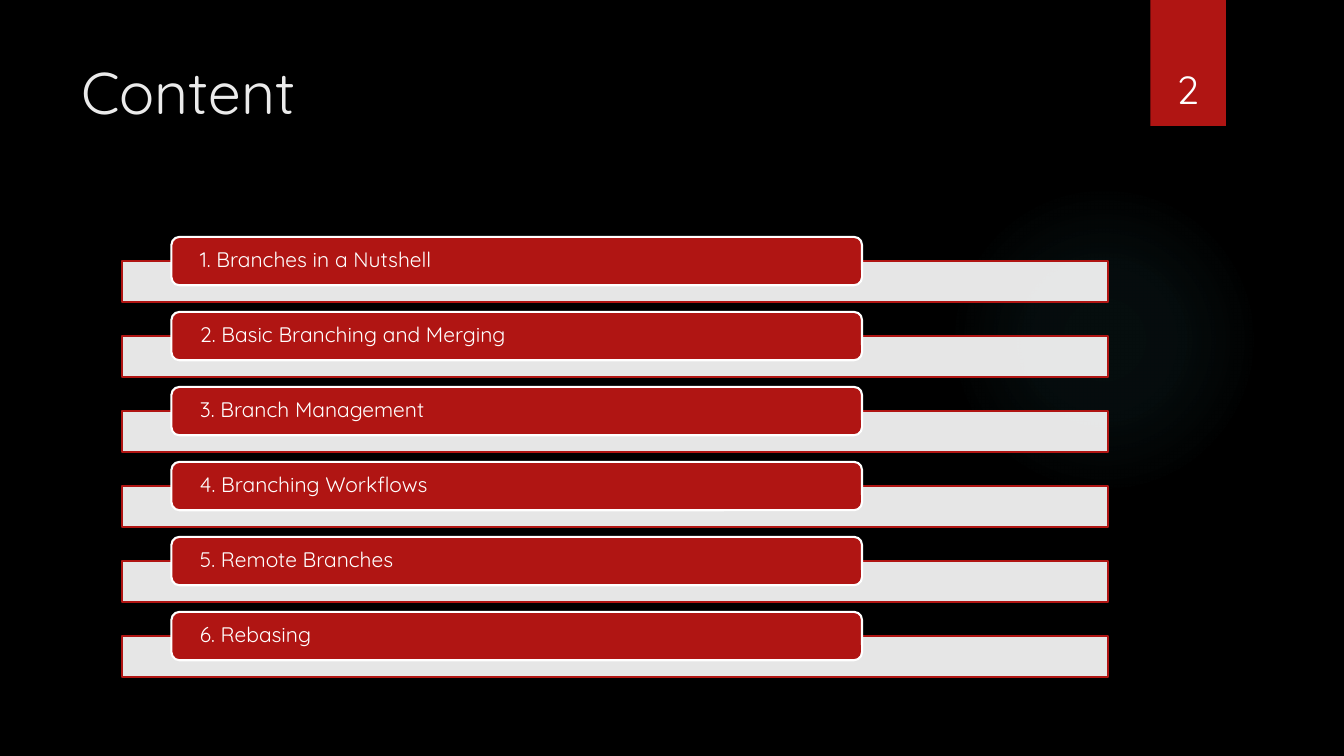
import dataclasses

import pptx
import pptx.dml.color
import pptx.enum.shapes
import pptx.enum.text
import pptx.oxml
import pptx.oxml.ns
import pptx.util
from lxml import etree

Inches = pptx.util.Inches
Pt = pptx.util.Pt
RGB = pptx.dml.color.RGBColor.from_string
SHAPE = pptx.enum.shapes.MSO_SHAPE
ANCHOR = pptx.enum.text.MSO_ANCHOR
ALIGN = pptx.enum.text.PP_ALIGN


@dataclasses.dataclass(frozen=True)
class Theme:
    font: str = "Quicksand"
    background: str = "000000"
    accent: str = "B01513"
    white: str = "FFFFFF"
    title: str = "EBEBEB"
    glow: str = "50B9C1"
    title_size: int = 42
    number_size: int = 28
    item_size: int = 15


theme = Theme()
topics = [
    "1. Branches in a Nutshell",
    "2. Basic Branching and Merging",
    "3. Branch Management",
    "4. Branching Workflows",
    "5. Remote Branches",
    "6. Rebasing",
]

deck = pptx.Presentation()
deck.slide_width, deck.slide_height = Inches(13.33), Inches(7.5)
slide = deck.slides.add_slide(deck.slide_layouts[6])
slide.background.fill.solid()
slide.background.fill.fore_color.rgb = RGB(theme.background)


def add_block(kind, left, top, width, height, fill=None, line=None):
    block = slide.shapes.add_shape(
        kind, Inches(left), Inches(top), Inches(width), Inches(height))
    block.shadow.inherit = False
    if fill:
        block.fill.solid()
        block.fill.fore_color.rgb = RGB(fill)
    if line:
        block.line.color.rgb = RGB(line)
        block.line.width = Pt(1.5)
    else:
        block.line.fill.background()
    return block


def write_text(holder, text, size, color=theme.white, align=ALIGN.LEFT,
               anchor=ANCHOR.MIDDLE, side=0.1, edge=0.05, spacing=None):
    """Fill a shape or text box; side and edge are its insets in inches."""
    frame = holder.text_frame
    frame.word_wrap = True
    frame.vertical_anchor = anchor
    frame.margin_left = frame.margin_right = Inches(side)
    frame.margin_top = frame.margin_bottom = Inches(edge)
    paragraph = frame.paragraphs[0]
    paragraph.alignment = align
    paragraph.line_spacing = spacing
    run = paragraph.add_run()
    run.text = text
    run.font.name = theme.font
    run.font.size = Pt(size)
    run.font.color.rgb = RGB(color)


# Background glow, fading out from its centre
glow = add_block(SHAPE.OVAL, 9.41, 1.83, 3.08, 3.08)
stops = "".join(
    f'<a:gs pos="{position * 1000}"><a:srgbClr val="{theme.glow}">'
    f'<a:alpha val="{alpha * 1000}"/></a:srgbClr></a:gs>'
    for position, alpha in [(0, 7), (36, 6), (69, 0)])
glow.element.spPr.find(pptx.oxml.ns.qn("a:prstGeom")).addnext(pptx.oxml.parse_xml(
    f'<a:gradFill {pptx.oxml.ns.nsdecls("a")}><a:gsLst>{stops}</a:gsLst>'
    '<a:path path="circle"><a:fillToRect l="50000" t="50000" r="50000" b="50000"/>'
    '</a:path></a:gradFill>'))

# Heading and page number
add_block(SHAPE.RECTANGLE, 11.41, 0, 0.75, 1.25, fill=theme.accent)
heading = slide.shapes.add_textbox(
    Inches(0.71), Inches(0.5), Inches(10.29), Inches(1.53))
write_text(heading, "Content", theme.title_size, color=theme.title, anchor=ANCHOR.TOP)
page_number = slide.shapes.add_textbox(
    Inches(11.32), Inches(0.32), Inches(0.92), Inches(0.84))
write_text(page_number, "2", theme.number_size, align=ALIGN.CENTER, anchor=ANCHOR.BOTTOM)

# Topic list: a red label overlapping a pale bar in each row
first_top, row_pitch = 2.35, 0.744
for row, topic in enumerate(topics):
    top = first_top + row * row_pitch
    bar = add_block(SHAPE.RECTANGLE, 1.21, top + 0.24, 9.78, 0.41,
                    fill=theme.white, line=theme.accent)
    bar_color = bar.element.spPr.find(
        f'{pptx.oxml.ns.qn("a:solidFill")}/{pptx.oxml.ns.qn("a:srgbClr")}')
    etree.SubElement(bar_color, pptx.oxml.ns.qn("a:alpha"), val="90000")
    label = add_block(SHAPE.ROUNDED_RECTANGLE, 1.7, top, 6.85, 0.48,
                      fill=theme.accent, line=theme.white)
    write_text(label, topic, theme.item_size, side=0.26, edge=0, spacing=0.9)

deck.save("out.pptx")
